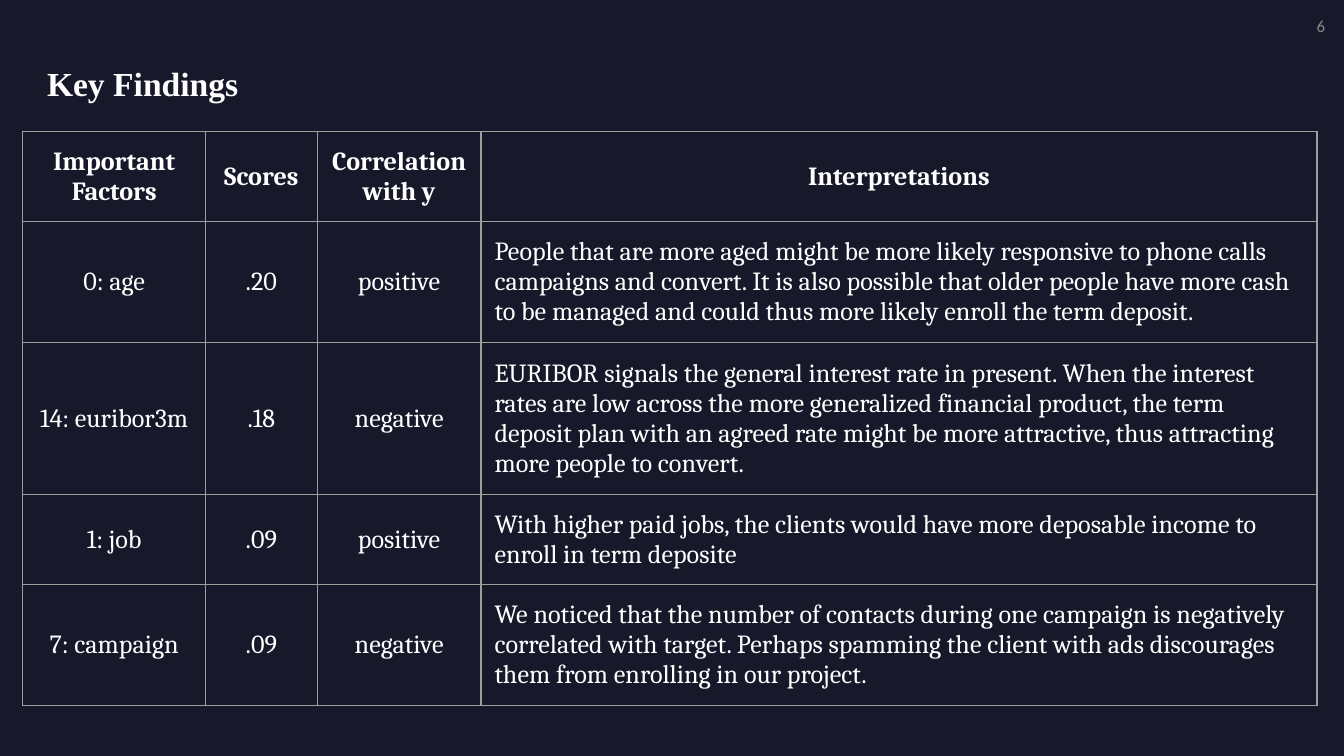
from dataclasses import dataclass

from lxml.etree import SubElement
from pptx import Presentation
from pptx.dml.color import RGBColor
from pptx.enum.text import MSO_ANCHOR as Anchor, MSO_AUTO_SIZE as AutoSize, PP_ALIGN as Align
from pptx.oxml.ns import qn
from pptx.util import Inches, Pt

SLIDE_WIDTH = 10
SLIDE_HEIGHT = SLIDE_WIDTH * 9 / 16
BACKGROUND, WHITE, GREY, BORDER = "17182A", "FFFFFF", "888888", "9E9E9E"
COLUMN_WIDTHS = (1.36, 0.83, 1.22, 6.22)
HEADERS = ("Important Factors", "Scores", "Correlation with y", "Interpretations")


@dataclass
class Finding:
    """One table row with its height in inches."""
    factor: str
    score: str
    correlation: str
    interpretation: str
    height: float


FINDINGS = (
    Finding("0: age", ".20", "positive",
            "People that are more aged might be more likely responsive to phone calls campaigns "
            "and convert. It is also possible that older people have more cash to be managed and "
            "could thus more likely enroll the term deposit. ", 0.9),
    Finding("14: euribor3m", ".18", "negative",
            "EURIBOR signals the general interest rate in present. When the interest rates are low "
            "across the more generalized financial product, the term deposit plan with an agreed "
            "rate might be more attractive, thus attracting more people to convert. ", 1.13),
    Finding("1: job", ".09", "positive",
            "With higher paid jobs, the clients would have more deposable income to enroll in "
            "term deposite", 0.67),
    Finding("7: campaign", ".09", "negative",
            "We noticed that the number of contacts during one campaign is negatively correlated "
            "with target. Perhaps spamming the client with ads discourages them from enrolling in "
            "our project. ", 0.9),
)


def rgb(value: str) -> RGBColor:
    """Turn a hex string into a colour."""
    return RGBColor.from_string(value)


def write(tf, text: str, font: str, size: float, color: str, bold: bool, align: Align) -> None:
    """Fill a text frame with one formatted paragraph."""
    tf.word_wrap = True
    p = tf.paragraphs[0]
    p.text = text
    p.alignment = align
    p.font.name, p.font.size, p.font.bold = font, Pt(size), bold
    p.font.color.rgb = rgb(color)


def place(sp, left: float, top: float, width: float, height: float, anchor: Anchor) -> None:
    """Position a text shape and set its insets."""
    sp.left, sp.top, sp.width, sp.height = map(Inches, (left, top, width, height))
    tf = sp.text_frame
    tf.margin_left = tf.margin_right = Inches(0.07)
    tf.margin_top = tf.margin_bottom = Inches(0.04)
    tf.vertical_anchor = anchor
    tf.auto_size = AutoSize.NONE


def add_borders(cell, color: str, width: float) -> None:
    """Draw a thin line on all four sides of a cell."""
    tc_pr = cell._tc.get_or_add_tcPr()
    for i, side in enumerate(("a:lnL", "a:lnR", "a:lnT", "a:lnB")):
        ln = SubElement(tc_pr, qn(side), w=str(Pt(width)))
        SubElement(SubElement(ln, qn("a:solidFill")), qn("a:srgbClr"), val=color)
        tc_pr.insert(i, ln)


def format_cell(cell, text: str, bold: bool, align: Align) -> None:
    """Write and style one table cell."""
    cell.fill.background()
    cell.vertical_anchor = Anchor.MIDDLE
    cell.margin_left = cell.margin_right = cell.margin_top = cell.margin_bottom = Inches(0.1)
    write(cell.text_frame, text, "Cambria", 14, WHITE, bold, align)
    add_borders(cell, BORDER, 0.75)


def add_findings_table(s) -> None:
    """Add the table of factors and interpretations."""
    rows = [HEADERS] + [(f.factor, f.score, f.correlation, f.interpretation) for f in FINDINGS]
    heights = [0.67] + [f.height for f in FINDINGS]
    table = s.shapes.add_table(len(rows), len(HEADERS), Inches(0.17), Inches(0.98),
                               Inches(sum(COLUMN_WIDTHS)), Inches(sum(heights))).table
    table.first_row = table.horz_banding = False
    for column, width in zip(table.columns, COLUMN_WIDTHS):
        column.width = Inches(width)
    for i, (texts, height) in enumerate(zip(rows, heights)):
        table.rows[i].height = Inches(height)
        for j, text in enumerate(texts):
            is_prose = i > 0 and j == len(HEADERS) - 1
            format_cell(table.cell(i, j), text, i == 0, Align.LEFT if is_prose else Align.CENTER)


def main() -> None:
    """Build and save the slide."""
    prs = Presentation()
    prs.slide_width, prs.slide_height = Inches(SLIDE_WIDTH), Inches(SLIDE_HEIGHT)
    s = prs.slides.add_slide(prs.slide_layouts[5])
    s.background.fill.solid()
    s.background.fill.fore_color.rgb = rgb(BACKGROUND)

    title = s.shapes.title
    place(title, 0.28, 0.38, 5.48, 0.42, Anchor.TOP)
    write(title.text_frame, "Key Findings", "Times New Roman", 18, WHITE, True, Align.LEFT)
    title.text_frame.paragraphs[0].line_spacing = 1.15

    number = s.shapes.add_textbox(0, 0, 0, 0)
    place(number, 7.68, 0.04, 2.25, 0.3, Anchor.MIDDLE)
    write(number.text_frame, "6", "Calibri", 9, GREY, False, Align.RIGHT)

    add_findings_table(s)
    prs.save("out.pptx")


main()
